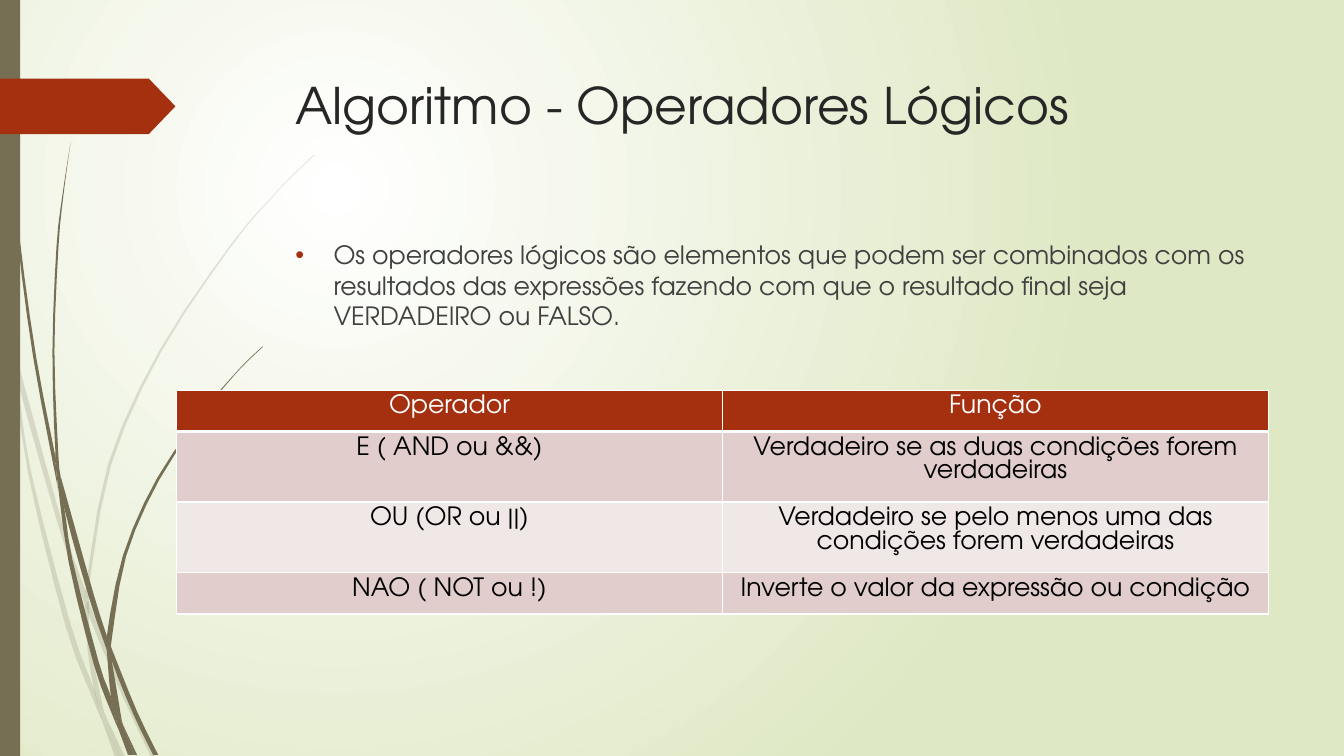
from lxml import etree
from pptx import Presentation
from pptx.dml.color import RGBColor
from pptx.enum.shapes import MSO_SHAPE
from pptx.enum.text import PP_ALIGN
from pptx.oxml import parse_xml
from pptx.oxml.ns import nsdecls, qn
from pptx.util import Pt

PX = 9144
WIDE, HIGH = 1333, 750
FONT = "TeX Gyre Adventor"
RUST, OLIVE, WHITE = "A53010", "766F54", "FFFFFF"
TITLE = "Algoritmo - Operadores Lógicos"
BODY = ("Os operadores lógicos são elementos que podem ser combinados com os "
        "resultados das expressões fazendo com que o resultado final seja "
        "VERDADEIRO ou FALSO.")
ROWS = [
    ("Operador", "Função"),
    ("E ( AND ou &&)", "Verdadeiro se as duas condições forem verdadeiras"),
    ("OU (OR ou ||)",
     "Verdadeiro se pelo menos uma das condições forem verdadeiras"),
    ("NAO ( NOT ou !)", "Inverte o valor da expressão ou condição"),
]
FILLS = [RUST, "E1CDCC", "F0E8E7", "E1CDCC"]
PALE = [
    ([(11, 350), (9, 322), (0, 282)], [(0, 299), (10, 344), (11, 350)]),
    ([(14, 345), (17, 376), (58, 522), (84, 599)],
     [(85, 586), (62, 520), (14, 345)]),
    ([(88, 596), (88, 610), (123, 694), (150, 751)],
     [(155, 751), (127, 692), (92, 607), (88, 596)]),
    ([(105, 711), (119, 751)], [(124, 751), (105, 711)]),
    ([(11, 350), (28, 470), (65, 621), (92, 693), (101, 714)],
     [(99, 707), (93, 683), (70, 619), (31, 469), (17, 376), (11, 350)]),
    ([(84, 599), (87, 646), (93, 683), (96, 692), (105, 711)],
     [(103, 706), (91, 646), (88, 610), (88, 608), (84, 599)]),
    ([(312, 153), (289, 175), (268, 197), (228, 244), (158, 348),
      (107, 461), (85, 584), (85, 586), (88, 596)],
     [(88, 584), (110, 462), (160, 349), (229, 245), (268, 198),
      (290, 175), (312, 154)]),
    ([(101, 714), (114, 751)], [(119, 751), (101, 714)]),
    ([(85, 586), (84, 599), (88, 608)], [(88, 610), (88, 596), (85, 586)]),
    ([(93, 683), (99, 707), (101, 714), (119, 751)],
     [(119, 751), (105, 711), (96, 692), (93, 683)]),
]
DARK = [
    ([(3, 0), (4, 48), (7, 110), (17, 233), (33, 355), (56, 477), (57, 481)],
     [(55, 457), (55, 453), (36, 355), (19, 232), (8, 109), (5, 48), (4, 0)]),
    ([(60, 472), (64, 505), (88, 592), (106, 645)],
     [(106, 633), (106, 631), (93, 590), (60, 472)]),
    ([(110, 641), (111, 656), (132, 708), (152, 749)],
     [(157, 749), (136, 706), (113, 649), (110, 641)]),
    ([(57, 477), (68, 557), (93, 659), (111, 708), (117, 722)],
     [(116, 717), (110, 691), (98, 657), (72, 556), (64, 505), (57, 477)]),
    ([(70, 141), (62, 193), (56, 245), (52, 349), (55, 449), (60, 472)],
     [(60, 472), (58, 453), (54, 349), (58, 245), (63, 193), (70, 141)]),
    ([(122, 719), (133, 749)], [(136, 749), (122, 719)]),
    ([(55, 449), (55, 453), (57, 477), (64, 505)],
     [(64, 505), (60, 472), (55, 449)]),
    ([(260, 344), (245, 358), (231, 373), (204, 405), (156, 474), (122, 551),
      (106, 631), (110, 641)],
     [(111, 633), (125, 552), (158, 476), (205, 406), (231, 374), (245, 359),
      (261, 344)]),
    ([(117, 722), (127, 749)], [(131, 749), (117, 722)]),
    ([(106, 645), (110, 691), (116, 706), (122, 719)],
     [(121, 716), (111, 656), (109, 651), (106, 645)]),
    ([(106, 631), (106, 633), (106, 645), (109, 651), (111, 656)],
     [(110, 641), (106, 631)]),
    ([(110, 691), (116, 717), (117, 722), (130, 749)],
     [(133, 749), (122, 719), (116, 706), (110, 691)]),
]


def tint(code):
    return RGBColor.from_string(code)


def paint(shape, code, alpha=100):
    shape.shadow.inherit = False
    shape.fill.solid()
    shape.fill.fore_color.rgb = tint(code)
    shape.line.fill.background()
    if alpha < 100:
        color = shape._element.spPr.find(".//" + qn("a:srgbClr"))
        etree.SubElement(color, qn("a:alpha")).set("val", str(alpha * 1000))


def smooth(edge, steps=3):
    ends = [edge[0], *edge, edge[-1]]
    path = []
    for a, b, c, d in zip(ends, ends[1:], ends[2:], ends[3:]):
        for step in range(steps):
            t = step / steps
            path.append(tuple(
                PX * (2 * q + (r - p) * t + (2 * p - 5 * q + 4 * r - s) * t ** 2
                      + (3 * q - p - 3 * r + s) * t ** 3) / 2
                for p, q, r, s in zip(a, b, c, d)))
    return path + [tuple(v * PX for v in edge[-1])]


def style(para, size, code):
    for run in para.runs:
        run.font.name = FONT
        run.font.size = Pt(size)
        run.font.color.rgb = tint(code)


def write(slide, box, text, size, code):
    frame = slide.shapes.add_textbox(*[v * PX for v in box]).text_frame
    frame.word_wrap = True
    frame.text = text
    para = frame.paragraphs[0]
    style(para, size, code)
    return para


def bullet(para, indent):
    props = para._p.get_or_add_pPr()
    props.set("marL", str(indent * PX))
    props.set("indent", str(-indent * PX))
    for part in (f'<a:buClr {nsdecls("a")}><a:srgbClr val="{RUST}"/></a:buClr>',
                 f'<a:buFont {nsdecls("a")} typeface="Arial"/>',
                 f'<a:buChar {nsdecls("a")} char="•"/>'):
        props.append(parse_xml(part))


def border(cell, row):
    props = cell._tc.get_or_add_tcPr()
    for spot, side in enumerate("LRTB"):
        thick = 3 if row == 0 and side == "B" else 1
        props.insert(spot, parse_xml(
            f'<a:ln{side} {nsdecls("a")} w="{Pt(thick)}"><a:solidFill>'
            f'<a:srgbClr val="{WHITE}"/></a:solidFill></a:ln{side}>'))


def backdrop(slide):
    fill = slide.background.fill
    fill.gradient()
    for stop, place, code in zip(fill.gradient_stops, (0, 1), (WHITE, "DFE8C4")):
        stop.position = place
        stop.color.rgb = tint(code)
    grad = slide._element.find(".//" + qn("a:gradFill"))
    grad.replace(grad.find(qn("a:lin")), parse_xml(
        f'<a:path {nsdecls("a")} path="circle"><a:fillToRect l="50000" '
        't="50000" r="100000" b="100000"/></a:path>'))


def grid(slide):
    table = slide.shapes.add_table(
        len(ROWS), 2, 175 * PX, 387 * PX, 1083 * PX, 41 * len(ROWS) * PX).table
    for row, texts in enumerate(ROWS):
        for col, text in enumerate(texts):
            cell = table.cell(row, col)
            cell.fill.solid()
            cell.fill.fore_color.rgb = tint(FILLS[row])
            border(cell, row)
            cell.text_frame.text = text
            para = cell.text_frame.paragraphs[0]
            para.alignment = PP_ALIGN.CENTER
            style(para, 18, "000000" if row else WHITE)


def main():
    deck = Presentation()
    deck.slide_width, deck.slide_height = WIDE * PX, HIGH * PX
    slide = deck.slides.add_slide(deck.slide_layouts[6])
    backdrop(slide)
    for alpha, blades in ((20, PALE), (100, DARK)):
        for left, right in blades:
            path = smooth(left) + smooth(right)
            pen = slide.shapes.build_freeform(*path[0])
            pen.add_line_segments(path[1:])
            paint(pen.convert_to_shape(), OLIVE, alpha)
    bar = slide.shapes.add_shape(MSO_SHAPE.RECTANGLE, 0, 0, 20 * PX, HIGH * PX)
    paint(bar, OLIVE)
    flag = slide.shapes.add_shape(
        MSO_SHAPE.PENTAGON, 0, 78 * PX, 174 * PX, 55 * PX)
    flag.adjustments[0] = 0.48
    paint(flag, RUST)
    write(slide, (283, 69, 975, 140), TITLE, 36, "262626")
    para = write(slide, (283, 233, 975, 413), BODY, 18, "404040")
    para.space_before = Pt(10)
    bullet(para, 38)
    grid(slide)
    deck.save("out.pptx")


if __name__ == "__main__":
    main()
